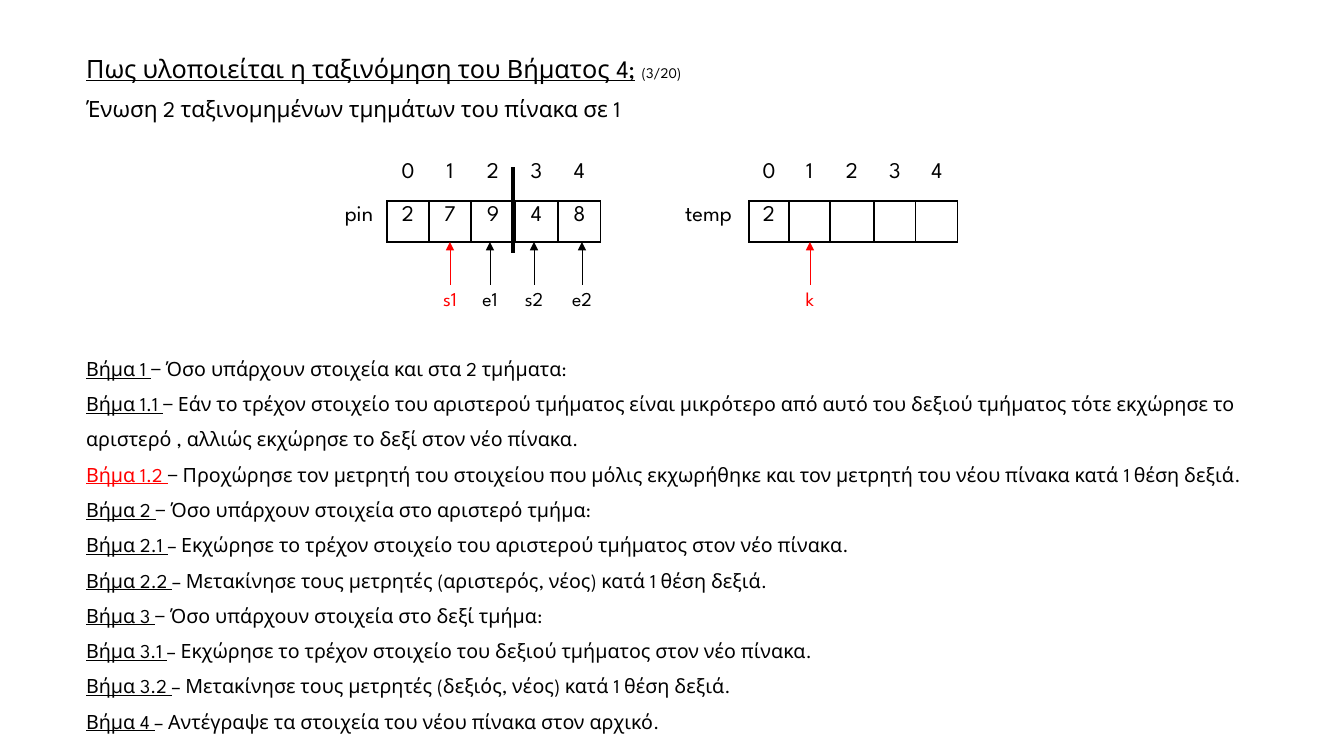
from dataclasses import dataclass
from lxml.etree import SubElement
from pptx import Presentation
from pptx.dml.color import RGBColor
from pptx.enum.shapes import MSO_CONNECTOR
from pptx.enum.text import MSO_ANCHOR, MSO_AUTO_SIZE, PP_ALIGN
from pptx.oxml.ns import qn
from pptx.util import Pt

PX = 9071


@dataclass(frozen=True)
class Theme:
    font: str = "League Spartan"
    black: RGBColor = RGBColor(0, 0, 0)
    red: RGBColor = RGBColor(255, 0, 0)
    heading: float = 18
    array: float = 16
    step: float = 14
    counter: float = 10.5
    no_grid: str = "{2D5ABB26-0587-4C30-8999-92F81FD0307C}"


theme = Theme()


def set_font(font, size, color=theme.black):
    font.name = theme.font
    font.size = Pt(size)
    font.color.rgb = color


def add_line(x1, y1, x2, y2, width, color=theme.black):
    line = slide.shapes.add_connector(
        MSO_CONNECTOR.STRAIGHT, x1 * PX, y1 * PX, x2 * PX, y2 * PX)
    line.line.width = Pt(width)
    line.line.color.rgb = color
    SubElement(line._element.spPr, qn("a:effectLst"))
    return line


deck = Presentation()
deck.slide_width, deck.slide_height = 1344 * PX, 756 * PX
slide = deck.slides.add_slide(deck.slide_layouts[1])

heading, steps = slide.placeholders
for part, left, top, width, height in [
    (heading, 76, 52, 1088, 78),
    (steps, 76, 340, 1245, 397),
]:
    part.left, part.top = left * PX, top * PX
    part.width, part.height = width * PX, height * PX
    part.text_frame.vertical_anchor = MSO_ANCHOR.TOP
    part.text_frame.auto_size = MSO_AUTO_SIZE.NONE
    part.text_frame.word_wrap = True

question = heading.text_frame.paragraphs[0]
for text, size, underline in [
    ("Πως υλοποιείται η ταξινόμηση του Βήματος 4;", theme.heading, True),
    (" ", theme.heading, False),
    ("(3/20)", theme.counter, False),
]:
    run = question.add_run()
    run.text = text
    set_font(run.font, size)
    run.font.underline = underline
subject = heading.text_frame.add_paragraph()
subject.text = "Ένωση 2 ταξινομημένων τμημάτων του πίνακα σε 1"
set_font(subject.font, theme.array)
for paragraph in (question, subject):
    paragraph.alignment = PP_ALIGN.LEFT
    paragraph.line_spacing = 0.9
    paragraph.space_before = Pt(10)

algorithm = [
    ("1", "− Όσο υπάρχουν στοιχεία και στα 2 τμήματα:"),
    ("1.1", "− Εάν το τρέχον στοιχείο του αριστερού τμήματος είναι μικρότερο από "
            "αυτό του δεξιού τμήματος τότε εκχώρησε το αριστερό , αλλιώς εκχώρησε "
            "το δεξί στον νέο πίνακα."),
    ("1.2", "− Προχώρησε τον μετρητή του στοιχείου που μόλις εκχωρήθηκε και τον "
            "μετρητή του νέου πίνακα κατά 1 θέση δεξιά."),
    ("2", "− Όσο υπάρχουν στοιχεία στο αριστερό τμήμα:"),
    ("2.1", "– Εκχώρησε το τρέχον στοιχείο του αριστερού τμήματος στον νέο πίνακα."),
    ("2.2", "– Μετακίνησε τους μετρητές (αριστερός, νέος) κατά 1 θέση δεξιά."),
    ("3", "− Όσο υπάρχουν στοιχεία στο δεξί τμήμα:"),
    ("3.1", "– Εκχώρησε το τρέχον στοιχείο του δεξιού τμήματος στον νέο πίνακα."),
    ("3.2", "– Μετακίνησε τους μετρητές (δεξιός, νέος) κατά 1 θέση δεξιά."),
    ("4", "– Αντέγραψε τα στοιχεία του νέου πίνακα στον αρχικό."),
]
current_step = "1.2"
for index, (number, action) in enumerate(algorithm):
    frame = steps.text_frame
    paragraph = frame.add_paragraph() if index else frame.paragraphs[0]
    paragraph.line_spacing = 1.5
    paragraph.space_before = Pt(0)
    set_font(paragraph.font, theme.step)
    properties = paragraph._p.get_or_add_pPr()
    properties.set("marL", "0")
    properties.set("indent", "0")
    properties.insert_element_before(
        properties.makeelement(qn("a:buNone"), {}), "a:tabLst", "a:defRPr")
    label = paragraph.add_run()
    label.text = f"Βήμα {number} "
    label.font.underline = True
    if number == current_step:
        label.font.color.rgb = theme.red
    paragraph.add_run().text = action

for name, values, left, columns in [
    ("temp", ["2", "", "", "", ""], 668, [81, 40, 41, 44, 42, 42]),
    ("pin", ["2", "7", "9", "4", "8"], 331, [56, 42, 42, 44, 43, 43]),
]:
    rows = [["", "0", "1", "2", "3", "4"], [name, *values]]
    array = slide.shapes.add_table(
        2, 6, left * PX, 158 * PX, sum(columns) * PX, 84 * PX).table
    array.first_row = array.horz_banding = False
    array._tbl.tblPr.find(qn("a:tableStyleId")).text = theme.no_grid
    for column, width in zip(array.columns, columns):
        column.width = width * PX
    for row, height in zip(array.rows, (43, 41)):
        row.height = height * PX
    for r, texts in enumerate(rows):
        for c, text in enumerate(texts):
            cell = array.cell(r, c)
            paragraph = cell.text_frame.paragraphs[0]
            paragraph.text = text
            paragraph.alignment = PP_ALIGN.CENTER
            set_font(paragraph.font, theme.array)
            if r and c:
                for side in ("a:lnL", "a:lnR", "a:lnT", "a:lnB"):
                    edge = SubElement(cell._tc.get_or_add_tcPr(), qn(side), w=str(Pt(1)))
                    fill = SubElement(edge, qn("a:solidFill"))
                    SubElement(fill, qn("a:srgbClr"), val=str(theme.black))
            cell.fill.background()

add_line(513, 253, 513, 167, 2.25)

for name, x, color in [
    ("s1", 450, theme.red),
    ("e1", 490, theme.black),
    ("s2", 534, theme.black),
    ("e2", 582, theme.black),
    ("k", 810, theme.red),
]:
    arrow = add_line(x, 285, x, 242, 0.5, color)
    SubElement(arrow.line._get_or_add_ln(), qn("a:tailEnd"), type="triangle")
    marker = slide.shapes.add_textbox((x - 24) * PX, 285 * PX, 48 * PX, 35 * PX)
    marker.text_frame.word_wrap = True
    paragraph = marker.text_frame.paragraphs[0]
    paragraph.text = name
    paragraph.alignment = PP_ALIGN.CENTER
    paragraph.line_spacing = 0.9
    paragraph.space_before = Pt(10)
    set_font(paragraph.font, theme.step, color)

deck.save("out.pptx")
